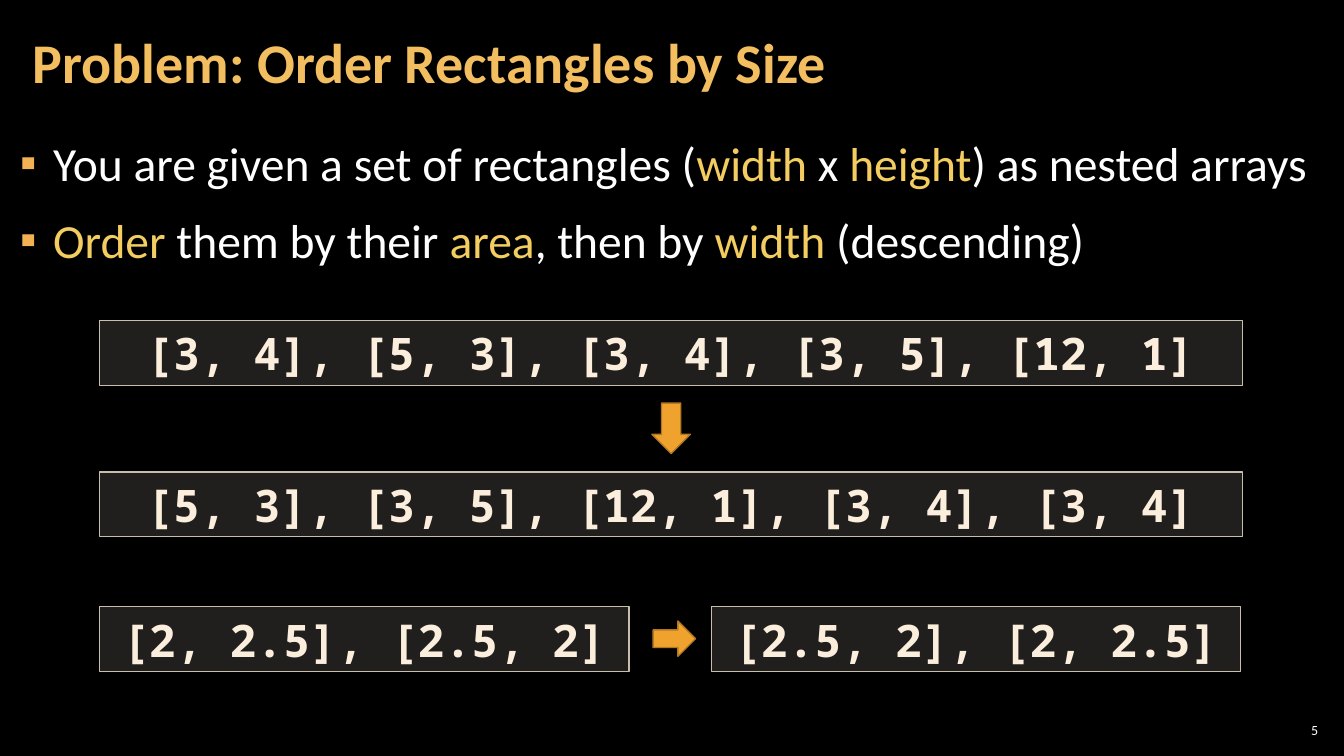
from lxml import etree
from pptx import Presentation
from pptx.dml.color import RGBColor
from pptx.enum.shapes import MSO_SHAPE
from pptx.enum.text import MSO_ANCHOR, MSO_AUTO_SIZE, PP_ALIGN
from pptx.oxml.ns import qn
from pptx.util import Cm, Pt

RECTANGLE = MSO_SHAPE.RECTANGLE
DOWN_ARROW = MSO_SHAPE.DOWN_ARROW
RIGHT_ARROW = MSO_SHAPE.RIGHT_ARROW
MIDDLE = MSO_ANCHOR.MIDDLE
TOP = MSO_ANCHOR.TOP
NO_AUTOFIT = MSO_AUTO_SIZE.NONE
LEFT = PP_ALIGN.LEFT
CENTER = PP_ALIGN.CENTER
RIGHT = PP_ALIGN.RIGHT

COLORS = {
    "background": "000000",
    "title": "F3BE60",
    "text": "FFFFFF",
    "keyword": "F3CD60",
    "bullet": "F2B254",
    "code": "FBEEDC",
    "panel": "D9D5C7",
    "panel_edge": "C7BFAC",
    "arrow": "F0A22E",
    "arrow_edge": "B27822",
}
TEXT_FONT = "Calibri"
CODE_FONT = "Noto Sans Mono"
PANEL_OPACITY = 15
PANEL_LEFT = 2.51
PANEL_HEIGHT = 1.63
FULL_WIDTH = 28.8
HALF_WIDTH = 13.34
EXAMPLE_TOP = 15.29

TASK = [
    "You are given a set of rectangles (|width| x |height|) as nested arrays",
    "|Order| them by their |area|, then by |width| (descending)",
]
PANELS = [
    (PANEL_LEFT, 8.08, FULL_WIDTH, "[3, 4], [5, 3], [3, 4], [3, 5], [12, 1]"),
    (PANEL_LEFT, 11.89, FULL_WIDTH, "[5, 3], [3, 5], [12, 1], [3, 4], [3, 4]"),
    (PANEL_LEFT, EXAMPLE_TOP, HALF_WIDTH, "[2, 2.5], [2.5, 2]"),
    (17.93, EXAMPLE_TOP, HALF_WIDTH, "[2.5, 2], [2, 2.5]"),
]
ARROWS = [
    (DOWN_ARROW, 16.43, 10.16, 0.97, 1.27),
    (RIGHT_ARROW, 16.46, 15.65, 1.07, 0.89),
]


def color(role):
    return RGBColor.from_string(COLORS[role])


def format_run(run, size, role, font=TEXT_FONT, bold=False):
    run.font.size = Pt(size)
    run.font.name = font
    run.font.bold = bold
    run.font.color.rgb = color(role)


def place(holder, left, top, width, height):
    holder.left, holder.top = Cm(left), Cm(top)
    holder.width, holder.height = Cm(width), Cm(height)


def set_frame(frame, anchor, side=0.3):
    frame.word_wrap = True
    frame.auto_size = NO_AUTOFIT
    frame.vertical_anchor = anchor
    frame.margin_left = frame.margin_right = Cm(side)
    frame.margin_top = frame.margin_bottom = Cm(0.1)


def add_title(slide):
    title = slide.shapes.title
    place(title, 0.53, 0.1, 26.59, 3.07)
    set_frame(title.text_frame, MIDDLE)
    title.text_frame.text = "Problem: Order Rectangles by Size"
    heading = title.text_frame.paragraphs[0]
    heading.alignment = LEFT
    heading.line_spacing = 0.9
    format_run(heading.runs[0], 40, "title", bold=True)


def set_bullet(paragraph):
    properties = paragraph._p.get_or_add_pPr()
    properties.set("marL", str(Cm(0.84)))
    properties.set("indent", str(Cm(-0.84)))
    bullet_color = etree.SubElement(properties, qn("a:buClr"))
    etree.SubElement(bullet_color, qn("a:srgbClr"), val=COLORS["bullet"])
    etree.SubElement(properties, qn("a:buChar"), char="▪")


def add_task(slide):
    task = slide.placeholders[1]
    place(task, 0.2, 3.2, 33.45, 15.47)
    frame = task.text_frame
    set_frame(frame, TOP)
    frame.text = "\n".join(TASK)
    for paragraph, sentence in zip(frame.paragraphs, TASK):
        paragraph.text = ""
        paragraph.line_spacing = 1.05
        paragraph.space_before = paragraph.space_after = Pt(6)
        set_bullet(paragraph)
        for position, words in enumerate(sentence.split("|")):
            if words:
                run = paragraph.add_run()
                run.text = words
                format_run(run, 34, "keyword" if position % 2 else "text")


def add_outlined(slide, kind, left, top, width, height, fill, edge):
    outlined = slide.shapes.add_shape(kind, Cm(left), Cm(top), Cm(width), Cm(height))
    outlined.shadow.inherit = False
    outlined.fill.solid()
    outlined.fill.fore_color.rgb = color(fill)
    outlined.line.color.rgb = color(edge)
    outlined.line.width = Pt(1)
    return outlined


def add_panel(slide, left, top, width, code):
    panel = add_outlined(slide, RECTANGLE, left, top, width, PANEL_HEIGHT, "panel", "panel_edge")
    fill_color = panel._element.spPr.find(qn("a:solidFill")).find(qn("a:srgbClr"))
    etree.SubElement(fill_color, qn("a:alpha"), val=str(PANEL_OPACITY * 1000))
    set_frame(panel.text_frame, MIDDLE, 0.25)
    panel.text_frame.text = code
    line = panel.text_frame.paragraphs[0]
    line.alignment = CENTER
    format_run(line.runs[0], 32, "code", CODE_FONT, True)


def add_page_number(slide):
    page = slide.shapes.add_textbox(Cm(32.13), Cm(18.14), Cm(1.19), Cm(0.53))
    set_frame(page.text_frame, MIDDLE, 0.1)
    page.text_frame.text = "5"
    number = page.text_frame.paragraphs[0]
    number.alignment = RIGHT
    format_run(number.runs[0], 10, "text")


def main():
    deck = Presentation()
    deck.slide_width, deck.slide_height = Cm(33.87), Cm(19.05)
    slide = deck.slides.add_slide(deck.slide_layouts[1])
    slide.background.fill.solid()
    slide.background.fill.fore_color.rgb = color("background")
    add_title(slide)
    add_task(slide)
    for panel in PANELS:
        add_panel(slide, *panel)
    for arrow in ARROWS:
        add_outlined(slide, *arrow, "arrow", "arrow_edge")
    add_page_number(slide)
    deck.save("out.pptx")


if __name__ == "__main__":
    main()
